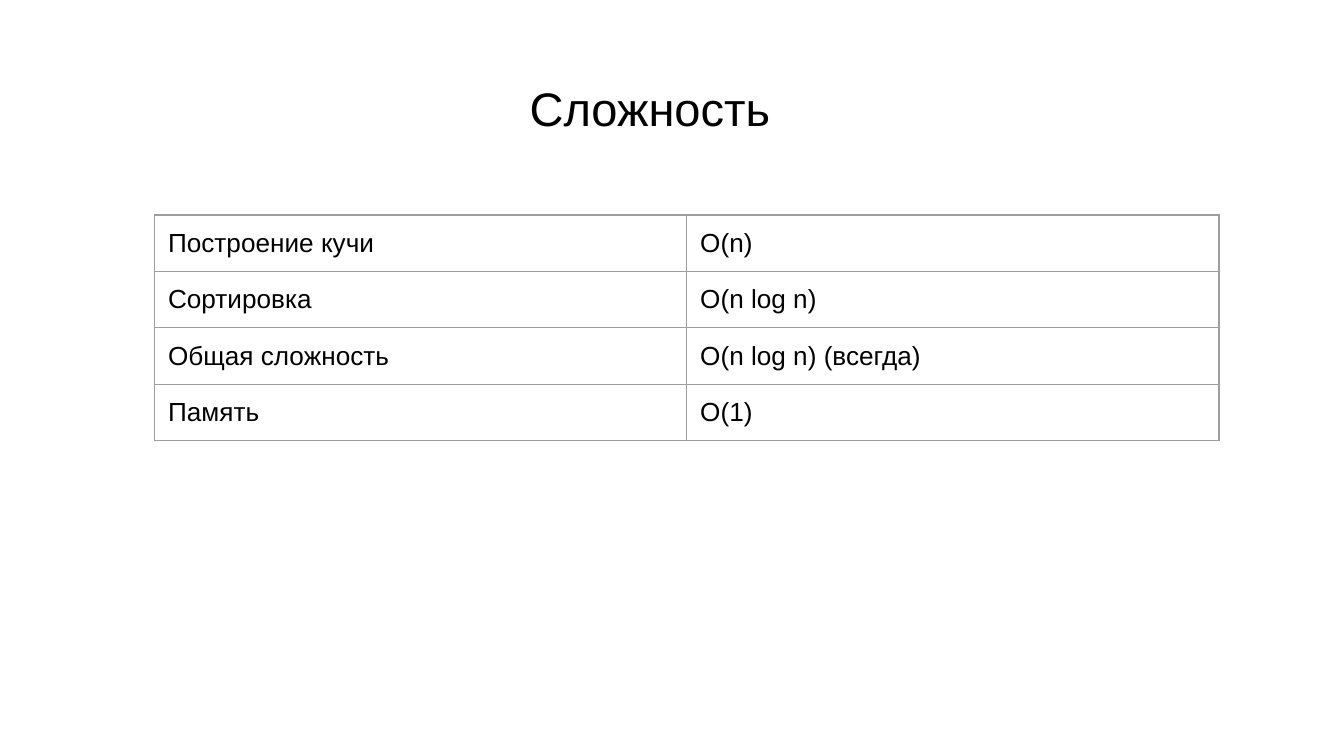
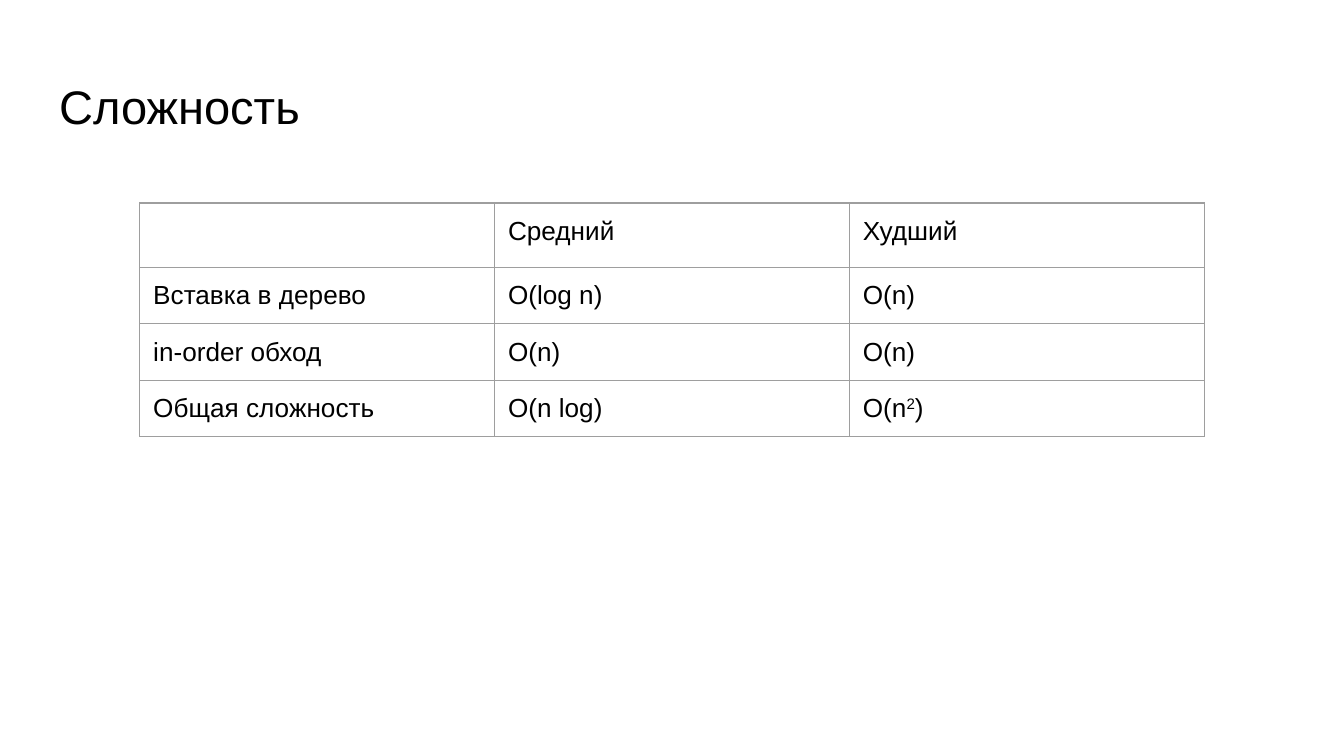
import pptx
import pptx.util
import pptx.dml.color
import pptx.enum.text
import pptx.oxml.ns
import lxml.etree

# Content: a cell given as a tuple alternates normal and superscript pieces
SLIDES = [
    {
        "title": "Сложность", "title_top": 49, "title_indent": 350,
        "table_at": (115, 160),
        "rows": [
            ("Построение кучи", "O(n)"),
            ("Сортировка", "O(n log n)"),
            ("Общая сложность", "O(n log n) (всегда)"),
            ("Память", "O(1)"),
        ],
    },
    {
        "title": "Сложность", "title_top": 47, "title_indent": 0,
        "table_at": (104, 151),
        "rows": [
            ("", "Средний", "Худший"),
            ("Вставка в дерево", "O(log n)", "O(n)"),
            ("in-order обход", "O(n)", "O(n)"),
            ("Общая сложность", "O(n log)", ("O(n", "2", ")")),
        ],
    },
]

# Theme and geometry, 100 px to the inch
THEME = {
    "font": "Arial", "text": "000000", "background": "FFFFFF",
    "border": "9E9E9E", "border_pt": 0.75,
    "title_pt": 25.2, "cell_pt": 14, "empty_cell_pt": 18,
}
PX = 9144
SLIDE_W = 1000
SLIDE_H = SLIDE_W * 9 / 16
TITLE_LEFT, TITLE_W, TITLE_H = 34, 932, 63
TABLE_W, ROW_H = 792, 42
INSET = 10
qn = pptx.oxml.ns.qn


def px(n):
    return pptx.util.Emu(round(n * PX))


def rgb(name):
    return pptx.dml.color.RGBColor.from_string(THEME[name])


def style_run(r, size):
    r.font.name = THEME["font"]
    r.font.size = pptx.util.Pt(size)
    r.font.color.rgb = rgb("text")


def set_insets(box):
    box.margin_left = box.margin_right = px(INSET)
    box.margin_top = box.margin_bottom = px(INSET)


def add_borders(cell):
    tcPr = cell._tc.get_or_add_tcPr()
    width = str(pptx.util.Pt(THEME["border_pt"]))
    for side in ("lnL", "lnR", "lnT", "lnB"):
        ln = lxml.etree.SubElement(tcPr, qn(f"a:{side}"), w=width)
        fill = lxml.etree.SubElement(ln, qn("a:solidFill"))
        lxml.etree.SubElement(fill, qn("a:srgbClr"), val=THEME["border"])


def add_title(s, text, top, indent):
    sp = s.shapes.title
    sp.left, sp.top, sp.width, sp.height = map(px, (TITLE_LEFT, top, TITLE_W, TITLE_H))
    tf = sp.text_frame
    tf.text = text
    tf.word_wrap = True
    tf.auto_size = pptx.enum.text.MSO_AUTO_SIZE.NONE
    tf.vertical_anchor = pptx.enum.text.MSO_ANCHOR.MIDDLE
    set_insets(tf)
    p = tf.paragraphs[0]
    p.alignment = pptx.enum.text.PP_ALIGN.LEFT
    p._p.get_or_add_pPr().set("marL", str(px(indent)))
    style_run(p.runs[0], THEME["title_pt"])


def size_empty(p):
    size = str(THEME["empty_cell_pt"] * 100)
    end = lxml.etree.SubElement(p._p, qn("a:endParaRPr"), sz=size)
    lxml.etree.SubElement(end, qn("a:latin"), typeface=THEME["font"])


def fill_cell(cell, content):
    set_insets(cell)
    add_borders(cell)
    cell.fill.background()
    p = cell.text_frame.paragraphs[0]
    if not content:
        size_empty(p)
        return
    pieces = content if isinstance(content, tuple) else (content,)
    for i, piece in enumerate(pieces):
        r = p.add_run()
        r.text = piece
        style_run(r, THEME["cell_pt"])
        if i % 2:
            r.font._element.set("baseline", "30000")


def add_table(s, at, rows):
    n_rows, n_cols = len(rows), len(rows[0])
    size = (TABLE_W, ROW_H * n_rows)
    table = s.shapes.add_table(n_rows, n_cols, *map(px, at + size)).table
    table.first_row = table.horz_banding = False
    for row, contents in zip(table.rows, rows):
        for cell, content in zip(row.cells, contents):
            fill_cell(cell, content)


def main():
    prs = pptx.Presentation()
    prs.slide_width, prs.slide_height = px(SLIDE_W), px(SLIDE_H)
    background = prs.slide_master.background.fill
    background.solid()
    background.fore_color.rgb = rgb("background")

    for content in SLIDES:
        s = prs.slides.add_slide(prs.slide_layouts.get_by_name("Title Only"))
        add_title(s, content["title"], content["title_top"], content["title_indent"])
        add_table(s, content["table_at"], content["rows"])

    prs.save("out.pptx")


if __name__ == "__main__":
    main()
